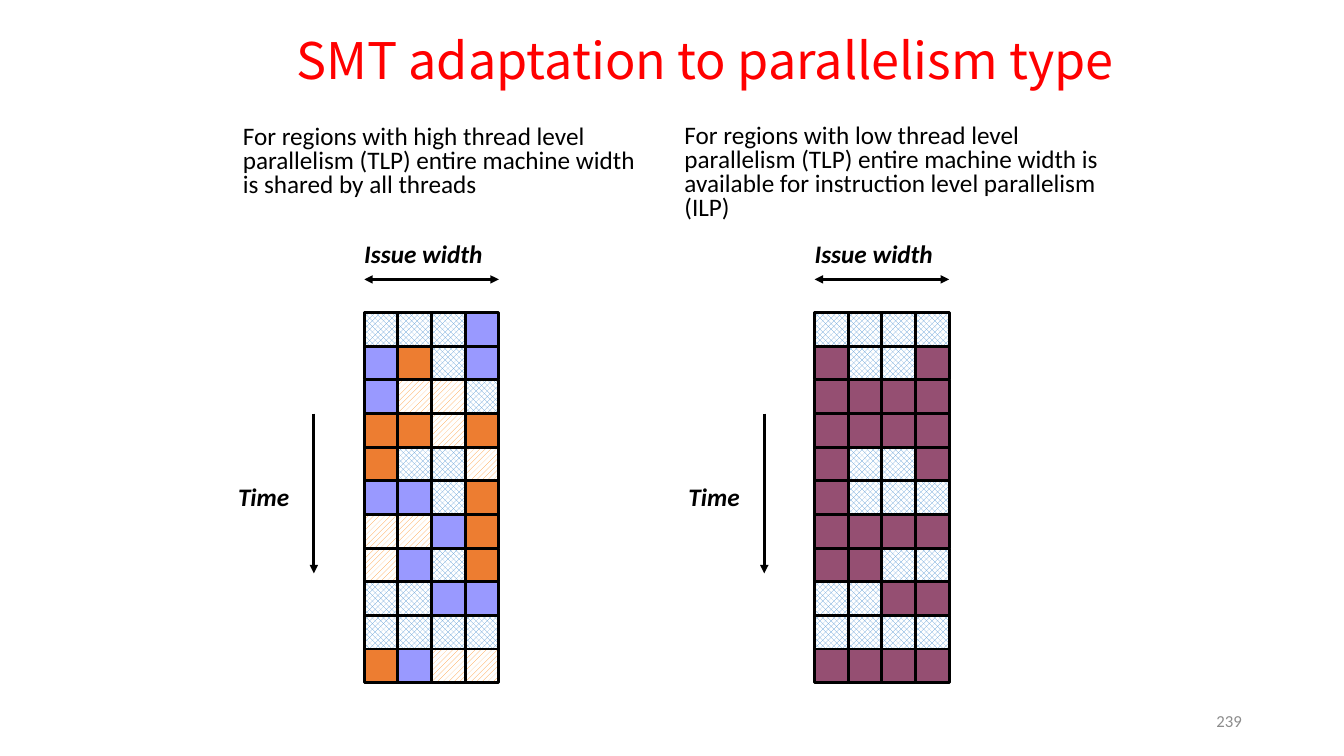
"""Build the slide on how SMT adapts to the type of parallelism."""
from lxml.etree import SubElement
from pptx import Presentation
from pptx.dml.color import RGBColor
from pptx.enum.dml import MSO_PATTERN as PATTERN
from pptx.enum.shapes import MSO_CONNECTOR as CONNECTOR, MSO_SHAPE as SHAPE
from pptx.enum.text import MSO_ANCHOR as ANCHOR, MSO_AUTO_SIZE as AUTO, PP_ALIGN as ALIGN
from pptx.oxml.ns import qn
from pptx.util import Cm, Pt

FILLS = {
    ".": ("5B9BD5", PATTERN.SOLID_DIAMOND),
    "H": ("ED7D31", PATTERN.DARK_HORIZONTAL),
    "/": ("FF9933", PATTERN.WIDE_UPWARD_DIAGONAL),
    "B": ("9999FF", None),
    "P": ("954F72", None),
}
HIGH_TLP = "...B BH.B B//. HH/H H../ BB.H //BH /B.H ..BB .... HB//".split()
LOW_TLP = ".... P..P PPPP PPPP P..P P... PPPP PP.. ..PP .... PPPP".split()
GRID_TOP, GRID_WIDTH = 7.88, 3.39


def color(value):
    """Turn a hex string into a colour."""
    return RGBColor.from_string(value)


class Deck:
    """Hold the style and the current slide."""

    font, ink, line_width = "Calibri", "000000", 2

    def __init__(self):
        """Open a widescreen deck with one blank slide."""
        self.prs = Presentation()
        self.prs.slide_width, self.prs.slide_height = Cm(33.87), Cm(19.05)
        self.s = self.prs.slides.add_slide(self.prs.slide_layouts[6])

    def text(self, text, x, y, w, h, size=18, font=None, ink=None, bold=False,
             align=ALIGN.LEFT, anchor=ANCHOR.TOP, spacing=1.0, wrap=True):
        """Add a text box with one paragraph."""
        tf = self.s.shapes.add_textbox(Cm(x), Cm(y), Cm(w), Cm(h)).text_frame
        tf.word_wrap, tf.vertical_anchor = wrap, anchor
        tf.auto_size = AUTO.NONE if wrap else AUTO.SHAPE_TO_FIT_TEXT
        p = tf.paragraphs[0]
        p.alignment, p.line_spacing = align, spacing
        r = p.add_run()
        r.text = text
        r.font.name, r.font.size = font or self.font, Pt(size)
        r.font.bold = r.font.italic = bold
        r.font.color.rgb = color(ink or self.ink)

    def cell(self, x, y, side, fill, pattern):
        """Add one issue slot."""
        sp = self.s.shapes.add_shape(SHAPE.RECTANGLE, Cm(x), Cm(y), Cm(side), Cm(side))
        sp.shadow.inherit = False
        if pattern is None:
            sp.fill.solid()
            sp.fill.fore_color.rgb = color(fill)
        else:
            sp.fill.patterned()
            sp.fill.pattern = pattern
            sp.fill.fore_color.rgb = color(fill)
            sp.fill.back_color.rgb = color("FFFFFF")
        sp.line.color.rgb = color(self.ink)
        sp.line.width = Pt(self.line_width)

    def arrow(self, x1, y1, x2, y2, ends=("tailEnd",)):
        """Add a straight line with triangular heads."""
        c = self.s.shapes.add_connector(CONNECTOR.STRAIGHT, Cm(x1), Cm(y1), Cm(x2), Cm(y2))
        c.line.color.rgb = color(self.ink)
        c.line.width = Pt(self.line_width)
        ln = c.line._get_or_add_ln()
        for end in ends:
            SubElement(ln, qn(f"a:{end}"), type="triangle")
        SubElement(c._element.spPr, qn("a:effectLst"))

    def grid(self, x, rows):
        """Add a grid of issue slots with its two labelled axes."""
        side = GRID_WIDTH / len(rows[0])
        for i, row in enumerate(rows):
            for j, kind in enumerate(row):
                self.cell(x + j * side, GRID_TOP + i * side, side, *FILLS[kind])
        self.arrow(x, 7.04, x + GRID_WIDTH, 7.04, ("headEnd", "tailEnd"))
        self.text("Issue width", x - 0.25, 5.87, 3.53, 1.02, bold=True, wrap=False)
        self.arrow(x - 1.27, 10.42, x - 1.27, 14.45)
        self.text("Time", x - 3.43, 12.01, 1.83, 1.02, bold=True, wrap=False)


def main():
    """Place everything on the slide and save it."""
    deck = Deck()
    deck.text("SMT adaptation to parallelism type ", 5.87, 0.48, 24.08, 2.24, size=36,
              font="Noto Sans CJK SC", ink="FF0000", align=ALIGN.CENTER,
              anchor=ANCHOR.MIDDLE, spacing=0.9)
    deck.text("For regions with high thread level parallelism (TLP) entire machine width "
              "is shared by all threads", 5.87, 3.05, 10.9, 2.9, spacing=0.8)
    deck.text("For regions with low thread level parallelism (TLP) entire machine width "
              "is available for instruction level parallelism (ILP)",
              17, 3.02, 11.23, 2.9, spacing=0.8)
    deck.grid(9.18, HIGH_TLP)
    deck.grid(20.53, LOW_TLP)
    deck.text("239", 23.93, 17.65, 7.62, 1.02, size=12, ink="8C8C8C",
              align=ALIGN.RIGHT, anchor=ANCHOR.MIDDLE)
    deck.prs.save("out.pptx")


if __name__ == "__main__":
    main()
